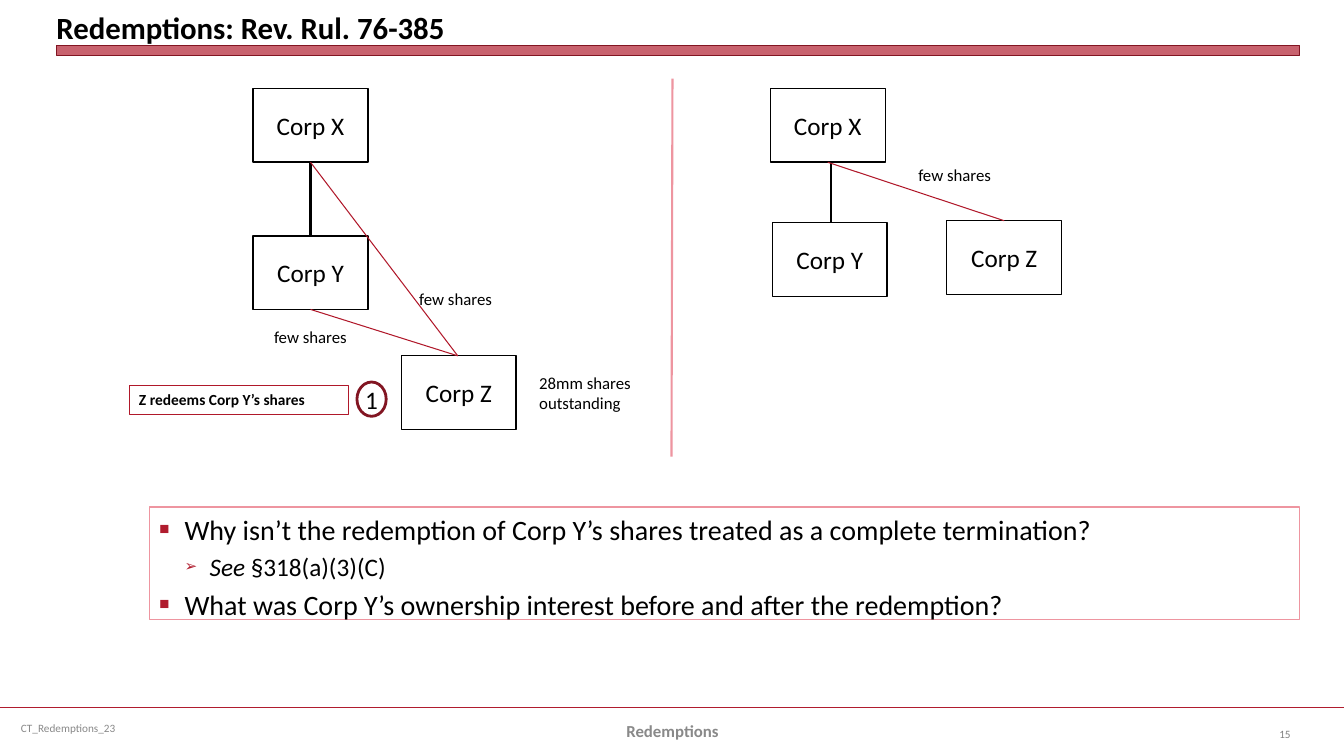
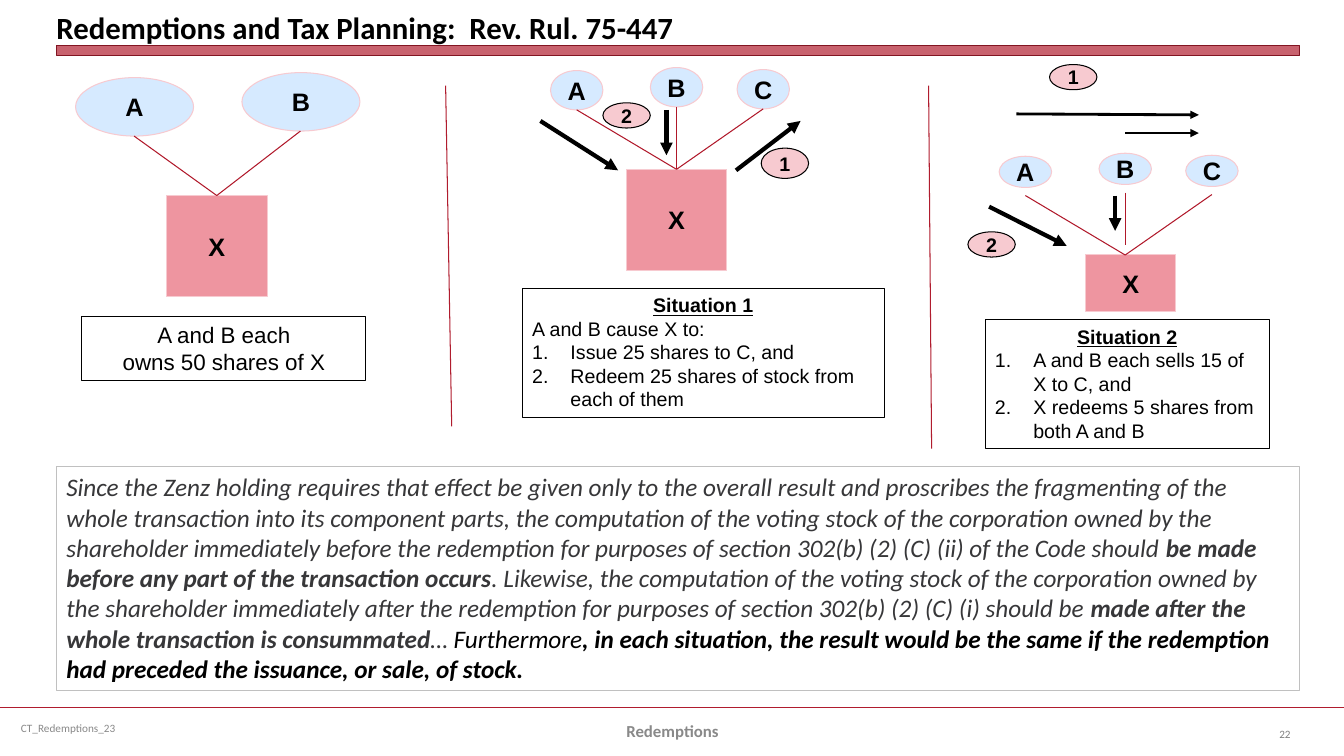
from lxml import etree
from pptx import Presentation
from pptx.dml.color import RGBColor
from pptx.enum.shapes import MSO_CONNECTOR, MSO_SHAPE
from pptx.enum.text import MSO_ANCHOR, MSO_AUTO_SIZE, PP_ALIGN
from pptx.oxml.ns import qn
from pptx.util import Pt

PX = 9144  # EMU per px, 100 px to the inch
WIDTH, HEIGHT = 1333, 750

BLACK = RGBColor(0x00, 0x00, 0x00)
CHARCOAL = RGBColor(0x37, 0x37, 0x39)
FOOTER_GRAY = RGBColor(0x89, 0x89, 0x89)
NUMBER_GRAY = RGBColor(0x80, 0x80, 0x80)
SILVER = RGBColor(0xC0, 0xC0, 0xC0)
RED = RGBColor(0xB0, 0x1C, 0x2E)
LINK_RED = RGBColor(0xB0, 0x18, 0x2A)
DARK_RED = RGBColor(0x82, 0x15, 0x22)
ROSE = RGBColor(0xEE, 0x95, 0xA0)
PALE_ROSE = RGBColor(0xF7, 0xCA, 0xD0)
PALE_BLUE = RGBColor(0xD6, 0xEA, 0xFF)

LEFT, CENTER, RIGHT = PP_ALIGN.LEFT, PP_ALIGN.CENTER, PP_ALIGN.RIGHT
JUSTIFY = PP_ALIGN.JUSTIFY
TOP, MIDDLE, BOTTOM = MSO_ANCHOR.TOP, MSO_ANCHOR.MIDDLE, MSO_ANCHOR.BOTTOM
RECTANGLE, OVAL = MSO_SHAPE.RECTANGLE, MSO_SHAPE.OVAL
STRAIGHT = MSO_CONNECTOR.STRAIGHT
TITLE_AND_BODY, TITLE_ONLY = 1, 5
NUMBERED = "1."


def emu(*lengths):
    return [length * PX for length in lengths]


def add_child(parent, tag, **attributes):
    child = etree.SubElement(parent, qn(tag))
    for name, value in attributes.items():
        child.set(name, str(value))
    return child


def add_run(paragraph, text, size=18, name="Calibri", color=BLACK,
            bold=False, italic=False, underline=False):
    run = paragraph.add_run()
    run.text = text
    font = run.font
    font.size, font.name = Pt(size), name
    font.bold, font.italic, font.underline = bold, italic, underline
    font.color.rgb = color


def add_bullet(paragraph, bullet, margin, hanging):
    """Number the paragraph, or give it a small red bullet character."""
    properties = paragraph._p.get_or_add_pPr()
    properties.set("marL", str(margin * PX))
    properties.set("indent", str(-hanging * PX))
    if bullet == NUMBERED:
        add_child(properties, "a:buFont", typeface="+mj-lt")
        add_child(properties, "a:buAutoNum", type="arabicPeriod")
    else:
        add_child(add_child(properties, "a:buClr"), "a:srgbClr", val=RED)
        add_child(properties, "a:buSzPct", val=60000)
        add_child(properties, "a:buFont", typeface="Arial")
        add_child(properties, "a:buChar", char=bullet)


def write(shape, *paragraphs, anchor=TOP, wrap=True, **defaults):
    """Fill a shape; a paragraph is a string or a dict of text and format."""
    frame = shape.text_frame
    frame.auto_size = MSO_AUTO_SIZE.NONE
    frame.word_wrap = wrap
    frame.vertical_anchor = anchor
    for index, item in enumerate(paragraphs):
        entry = item if isinstance(item, dict) else {"text": item}
        style = {**defaults, **entry}
        paragraph = frame.add_paragraph() if index else frame.paragraphs[0]
        text = style.pop("text")
        bullet = style.pop("bullet", None)
        margin, hanging = style.pop("margin", 0), style.pop("hanging", 0)
        if bullet:
            add_bullet(paragraph, bullet, margin, hanging)
        paragraph.level = style.pop("level", 0)
        paragraph.alignment = style.pop("align", LEFT)
        gap = style.pop("gap", 0)
        paragraph.space_before = Pt(gap if index else 0)
        runs = [(text, {})] if isinstance(text, str) else text
        for run_text, changes in runs:
            add_run(paragraph, run_text, **{**style, **changes})


class Deck:
    """Holds the presentation, the current slide and the common style."""

    def __init__(self):
        self.presentation = Presentation()
        self.presentation.slide_width, self.presentation.slide_height = emu(WIDTH, HEIGHT)
        self.slide = None

    def new_slide(self, title, number, layout):
        layouts = self.presentation.slide_layouts
        self.slide = self.presentation.slides.add_slide(layouts[layout])
        self.line((0, 702), (WIDTH, 702), RED, 1.25)
        band = self.shape(RECTANGLE, (56, 45, 1233, 10), fill=RED, line=DARK_RED, weight=0.5)
        color = band.fill._xPr.find(qn("a:solidFill"))[0]
        add_child(color, "a:alpha", val=69000)
        heading = self.slide.shapes.title
        self.place(heading, (56, 5, 1233, 40))
        frame = heading.text_frame
        frame.margin_left = frame.margin_right = frame.margin_top = frame.margin_bottom = 0
        write(heading, title, anchor=BOTTOM, size=22, bold=True)
        self.label((11, 702, 344, 40), "CT_Redemptions_23", anchor=MIDDLE,
                   size=8, color=FOOTER_GRAY)
        self.label((456, 705, 422, 40), "Redemptions", anchor=MIDDLE,
                   align=CENTER, size=12, bold=True, color=FOOTER_GRAY)
        self.label((1223, 708, 67, 40), number, anchor=MIDDLE, align=RIGHT,
                   size=8, color=NUMBER_GRAY)

    def place(self, shape, box):
        shape.left, shape.top, shape.width, shape.height = emu(*box)

    def body(self, box, *paragraphs, **style):
        body = self.slide.placeholders[1]
        self.place(body, box)
        body.line.color.rgb, body.line.width = ROSE, Pt(0.75)
        write(body, *paragraphs, **style)

    def label(self, box, *paragraphs, **style):
        write(self.slide.shapes.add_textbox(*emu(*box)), *paragraphs, **style)

    def shape(self, kind, box, *paragraphs, fill=None, line=BLACK, weight=0.75, **style):
        shape = self.slide.shapes.add_shape(kind, *emu(*box))
        shape.shadow.inherit = False
        if fill is None:
            shape.fill.background()
        else:
            shape.fill.solid()
            shape.fill.fore_color.rgb = fill
        shape.line.color.rgb, shape.line.width = line, Pt(weight)
        if paragraphs:
            write(shape, *paragraphs, **style)
        return shape

    def line(self, start, end, color=LINK_RED, weight=0.75, arrow=False):
        connector = self.slide.shapes.add_connector(STRAIGHT, *emu(*start, *end))
        connector.line.color.rgb, connector.line.width = color, Pt(weight)
        if arrow:
            add_child(connector.line._get_or_add_ln(), "a:tailEnd", type="triangle")
        add_child(connector._element.spPr, "a:effectLst")

    def arrow(self, start, end, weight=3):
        self.line(start, end, BLACK, weight, arrow=True)

    def corporation(self, letter, left, top):
        self.shape(RECTANGLE, (left, top, 114, 73), "Corp " + letter,
                   weight=1, anchor=MIDDLE, align=CENTER)

    def party(self, kind, box, text, fill=PALE_BLUE, line=PALE_ROSE, size=18):
        self.shape(kind, box, text, fill=fill, line=line, anchor=MIDDLE, wrap=False,
                   align=CENTER, size=size, name="Arial", bold=True)

    def owner(self, letter, box):
        self.party(OVAL, box, letter)

    def company(self, box):
        self.party(RECTANGLE, box, "X", fill=ROSE)

    def step(self, number, left, top, height=25):
        self.party(OVAL, (left, top, 47, height), number,
                   fill=PALE_ROSE, line=BLACK, size=14)

    def three_owners(self, left, top, height, shortening=0):
        """Owners A, B and C with their links, and the arrows from A and B."""
        link_end = top + 101
        for letter, across, down in (("A", 0, 3), ("B", 99, 0), ("C", 185, 2)):
            x, y = left + across, top + down
            self.owner(letter, (x, y, 52, height))
            end = link_end - shortening if letter == "B" else link_end
            self.line((x + 26, y + 39), (left + 125, end))
        self.arrow((left - 10, top + 53), (left + 67, top + 102 - shortening))
        self.arrow((left + 115, top + 42), (left + 115, top + 87 - shortening))

    def note(self, box, *paragraphs, **style):
        self.shape(RECTANGLE, box, *paragraphs, name="Arial", **style)


def heading(text):
    return {"text": text, "align": CENTER, "bold": True, "underline": True}


def numbered(text):
    return {"text": text, "bullet": NUMBERED, "margin": 38, "hanging": 38}


def square_bullet(text):
    return {"text": text, "bullet": "■", "margin": 25, "hanging": 25, "size": 20}


def build_ruling_76_385(deck):
    deck.new_slide("Redemptions: Rev. Rul. 76-385", "15", TITLE_AND_BODY)
    for letter, left, top in (("X", 251, 88), ("Y", 251, 234), ("Z", 398, 353),
                              ("X", 764, 88), ("Y", 766, 221), ("Z", 939, 219)):
        deck.corporation(letter, left, top)
    for start, end in (((308, 161), (308, 234)), ((824, 162), (824, 220))):
        deck.line(start, end, BLACK, 1.5)
    for start, end in (((308, 307), (454, 353)), ((308, 161), (454, 353)),
                       ((821, 161), (996, 219))):
        deck.line(start, end)
    deck.line((667, 78), (666, 453), ROSE, 1.5)
    for left, top in ((262, 319), (406, 282), (901, 159)):
        deck.label((left, top, 93, 30), "few shares", wrap=False, size=12)
    deck.label((525, 365, 116, 50), "28mm shares", "outstanding", wrap=False, size=12)
    deck.shape(RECTANGLE, (128, 382, 218, 29), "Z redeems Corp Y’s shares",
               line=LINK_RED, size=11, bold=True)
    deck.shape(OVAL, (354, 379, 29, 34), "1", line=DARK_RED, weight=2,
               anchor=MIDDLE, wrap=False, align=CENTER)
    deck.body(
        (148, 503, 1141, 112),
        square_bullet("Why isn’t the redemption of Corp Y’s shares treated "
                      "as a complete termination?"),
        {"text": [("See", {"italic": True}), (" §318(a)(3)(C)", {})],
         "bullet": "➢", "margin": 50, "hanging": 25, "level": 1},
        square_bullet("What was Corp Y’s ownership interest before and after the redemption?"),
        align=JUSTIFY, gap=4)


def build_ruling_75_447(deck):
    deck.new_slide("Redemptions and Tax Planning:  Rev. Rul. 75-447", "22", TITLE_ONLY)
    for start, end in (((442, 85), (448, 423)), ((921, 85), (924, 445))):
        deck.line(start, end, RED)

    deck.company((165, 194, 100, 100))
    for letter, left, top in (("A", 75, 77), ("B", 240, 72)):
        deck.owner(letter, (left, top, 117, 58))
        deck.line((left + 58, top + 58), (215, 194))
    deck.note((81, 314, 282, 64), "A and B each", "owns 50 shares of X",
              align=CENTER, size=16)

    deck.company((621, 168, 100, 100))
    deck.three_owners(546, 67, 39)
    deck.arrow((730, 169), (794, 120))
    deck.step("2", 598, 102)
    deck.step("1", 755, 147, height=30)
    deck.note((518, 286, 359, 128), heading("Situation 1"), "A and B cause X to:",
              numbered("Issue 25 shares to C, and"),
              numbered("Redeem 25 shares of stock from each of them"), size=14)

    deck.company((1077, 253, 89, 56))
    deck.three_owners(991, 152, 31, shortening=10)
    deck.arrow((1008, 113), (1189, 114), weight=2)
    deck.arrow((1116, 132), (1189, 132), weight=2)
    deck.step("1", 1041, 64)
    deck.step("2", 960, 230)
    deck.note((977, 317, 282, 128), heading("Situation 2"),
              numbered("A and B each sells 15 of X to C, and"),
              numbered("X redeems 5 shares from both A and B"), size=14)

    bold, black = {"bold": True}, {"color": BLACK}
    quotation = [
        ("Since the Zenz holding requires that effect be given only to the overall result "
         "and proscribes the fragmenting of the whole transaction into its component parts, "
         "the computation of the voting stock of the corporation owned by the shareholder "
         "immediately before the redemption for purposes of section 302(b) (2) (C) (ii) "
         "of the Code should ", {}),
        ("be made before any part of the transaction occurs", bold),
        (". Likewise, the computation of the voting stock of the corporation owned by the "
         "shareholder immediately after the redemption for purposes of section "
         "302(b) (2) (C) (i) should be ", {}),
        ("made after the whole transaction is consummated", bold),
        ("…", {}),
        (" Furthermore", black),
        (", in each situation, the result would be the same if the redemption had preceded "
         "the issuance, or sale, of stock.", {**bold, **black}),
    ]
    deck.shape(RECTANGLE, (56, 463, 1233, 222), {"text": quotation},
               line=SILVER, italic=True, color=CHARCOAL)


def main():
    deck = Deck()
    build_ruling_76_385(deck)
    build_ruling_75_447(deck)
    deck.presentation.save("out.pptx")


if __name__ == "__main__":
    main()
